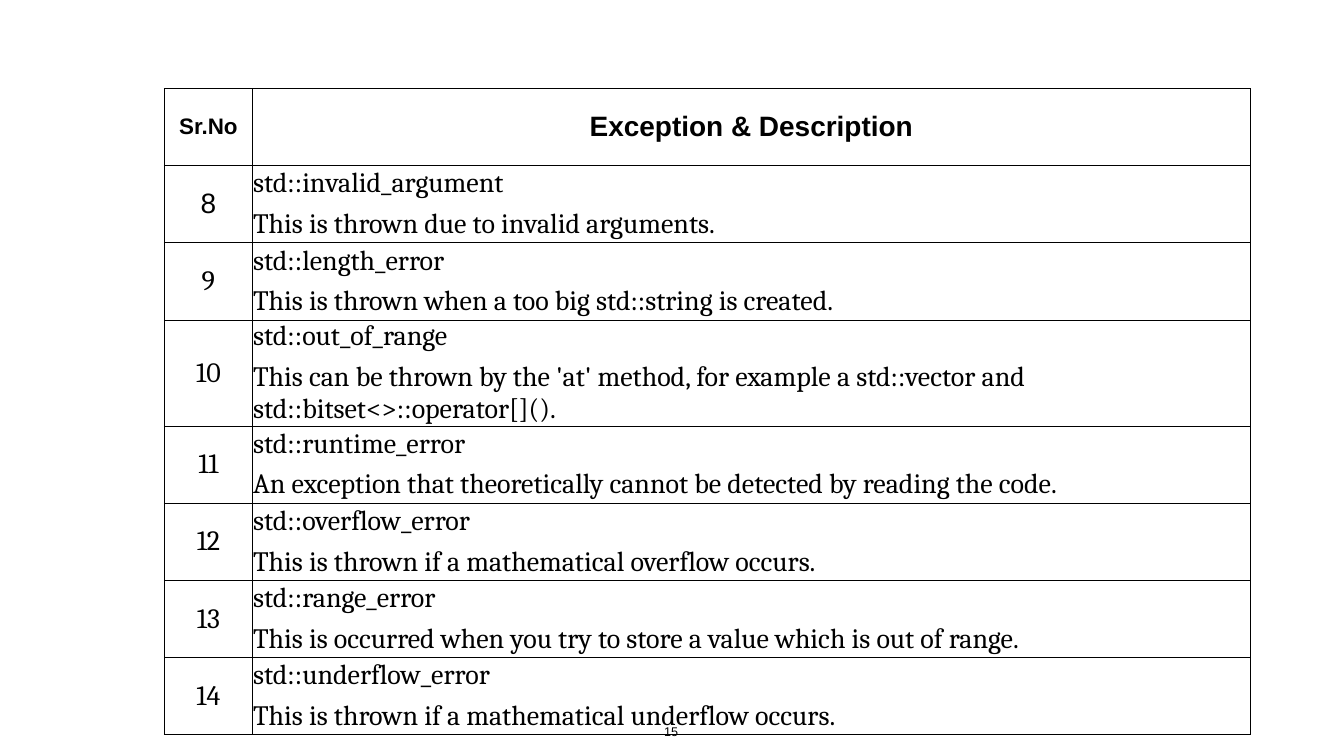
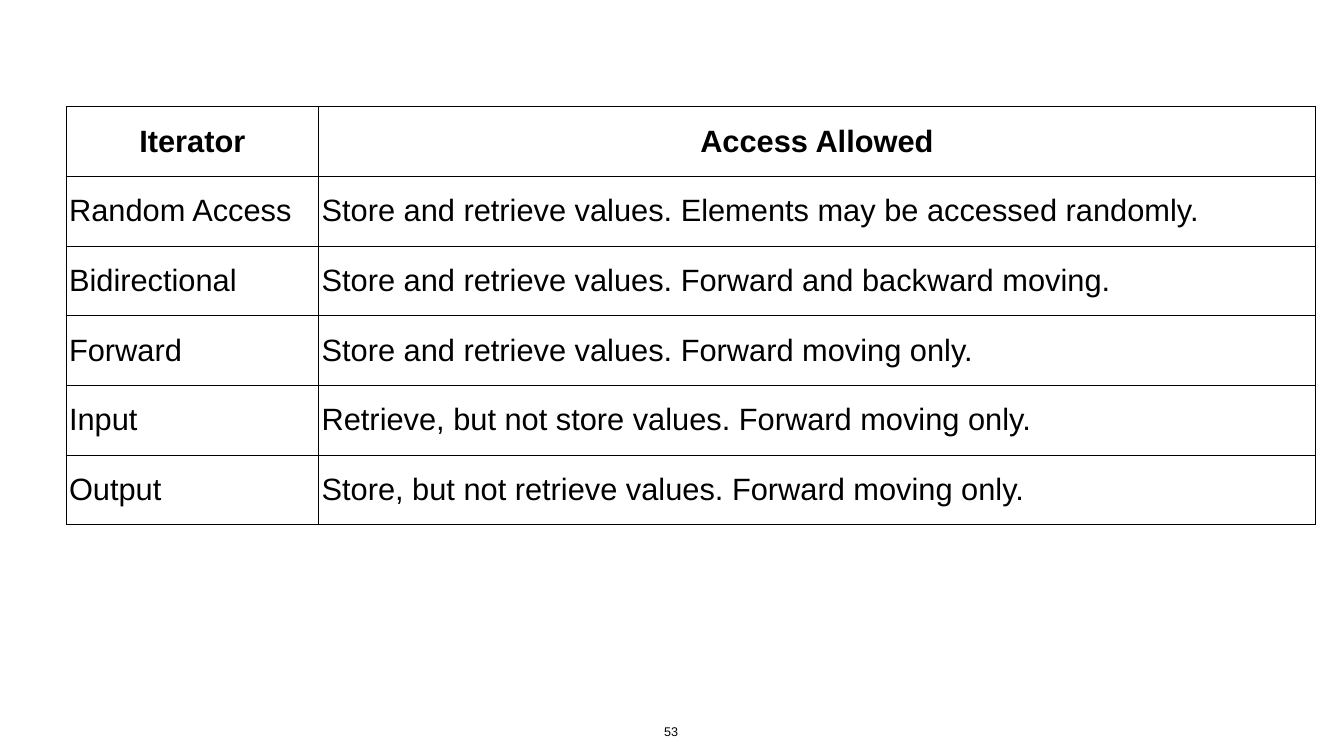
from pptx import Presentation
from pptx import util as u
from pptx.dml.color import RGBColor
from pptx.enum import text
from pptx.oxml import parse_xml
from pptx.oxml.ns import nsdecls

INK = "000000"
PAPER = "FFFFFF"
BODY_FONT = "Arial"
CODE_FONT = "Cambria"
WIDE, NARROW = 0.15, 0.03


def color(value):
    return RGBColor.from_string(value)


def style_text(frame, font, size, bold, align):
    for number, paragraph in enumerate(frame.paragraphs):
        paragraph.alignment = align
        if number:
            paragraph.space_before = u.Pt(12)
        for run in paragraph.runs:
            run.font.name = font
            run.font.size = u.Pt(size)
            run.font.bold = bold
            run.font.color.rgb = color(INK)


exceptions = [
    ("Sr.No", "Exception & Description"),
    ("8", "std::invalid_argument\nThis is thrown due to invalid arguments."),
    ("9", "std::length_error\nThis is thrown when a too big std::string is created."),
    ("10", "std::out_of_range\nThis can be thrown by the 'at' method, for example "
           "a std::vector and std::bitset<>::operator[]()."),
    ("11", "std::runtime_error\nAn exception that theoretically cannot be detected by reading the code."),
    ("12", "std::overflow_error\nThis is thrown if a mathematical overflow occurs."),
    ("13", "std::range_error\nThis is occurred when you try to store a value which is out of range."),
    ("14", "std::underflow_error\nThis is thrown if a mathematical underflow occurs."),
]
iterators = [
    ("Iterator", "Access Allowed"),
    ("Random Access", "Store and retrieve values. Elements may be accessed randomly."),
    ("Bidirectional", "Store and retrieve values. Forward and backward moving."),
    ("Forward", "Store and retrieve values. Forward moving only."),
    ("Input", "Retrieve, but not store values. Forward moving only."),
    ("Output", "Store, but not retrieve values. Forward moving only."),
]
CENTER, LEFT = text.PP_ALIGN.CENTER, text.PP_ALIGN.LEFT
pages = [
    ("15", exceptions, (8.28, 4.45), (4.45, 50.27), 3.89, (32, 40), 40, CODE_FONT, NARROW, CENTER),
    ("53", iterators, (3.33, 5.38), (12.73, 50.24), 3.51, (44, 44), 44, BODY_FONT, WIDE, LEFT),
]

deck = Presentation()
deck.slide_width = u.Cm(67.74)
deck.slide_height = u.Cm(38.1)

for (page_number, entries, (left, top), widths, row_height, header_sizes,
     body_size, body_font, body_inset, key_align) in pages:
    slide = deck.slides.add_slide(deck.slide_layouts[6])
    slide.background.fill.solid()
    slide.background.fill.fore_color.rgb = color(PAPER)

    grid = slide.shapes.add_table(
        len(entries), 2, u.Cm(left), u.Cm(top),
        u.Cm(sum(widths)), u.Cm(row_height * len(entries))).table
    grid.first_row = False
    grid.horz_banding = False
    for column, width in zip(grid.columns, widths):
        column.width = u.Cm(width)

    for row, entry in enumerate(entries):
        grid.rows[row].height = u.Cm(row_height)
        for col, wording in enumerate(entry):
            header = row == 0
            plain = header or wording == "8"
            inset = u.Cm(WIDE if plain else body_inset)
            cell = grid.cell(row, col)
            cell.text_frame.text = wording
            cell.vertical_anchor = text.MSO_ANCHOR.MIDDLE
            cell.margin_left = cell.margin_right = inset
            cell.margin_top = cell.margin_bottom = inset
            style_text(cell.text_frame, BODY_FONT if plain else body_font,
                       header_sizes[col] if header else body_size, header,
                       CENTER if header else (key_align, LEFT)[col])
            properties = cell._tc.get_or_add_tcPr()
            for side in ("lnL", "lnR", "lnT", "lnB"):
                properties.append(parse_xml(
                    f'<a:{side} {nsdecls("a")} w="12700"><a:solidFill>'
                    f'<a:srgbClr val="{INK}"/></a:solidFill></a:{side}>'))
            cell.fill.background()

    footer = slide.shapes.add_textbox(u.Cm(33.32), u.Cm(36.35), u.Cm(1.02), u.Cm(1.04)).text_frame
    footer.text = page_number
    footer.word_wrap = False
    footer.auto_size = text.MSO_AUTO_SIZE.SHAPE_TO_FIT_TEXT
    footer.vertical_anchor = text.MSO_ANCHOR.BOTTOM
    footer.margin_left = footer.margin_right = u.Cm(WIDE)
    footer.margin_top = footer.margin_bottom = u.Cm(WIDE)
    style_text(footer, BODY_FONT, 18, False, CENTER)

deck.save("out.pptx")
